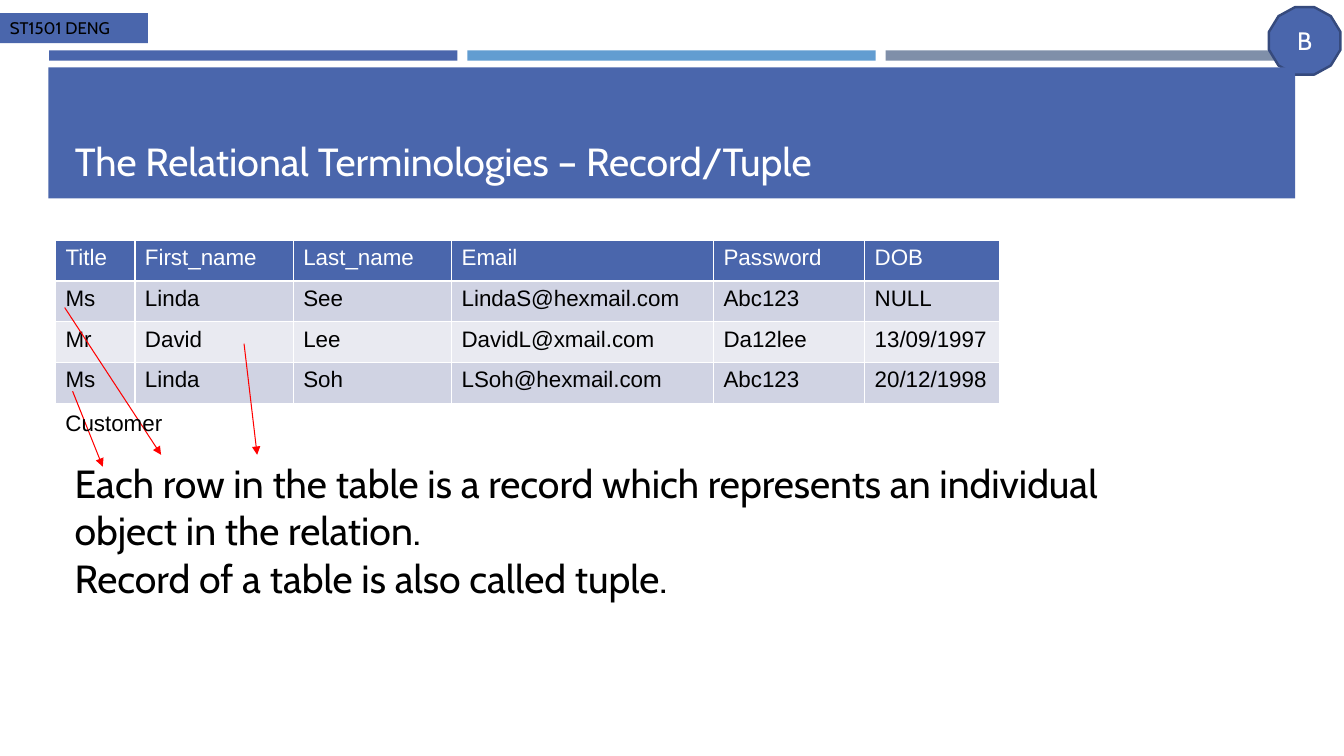
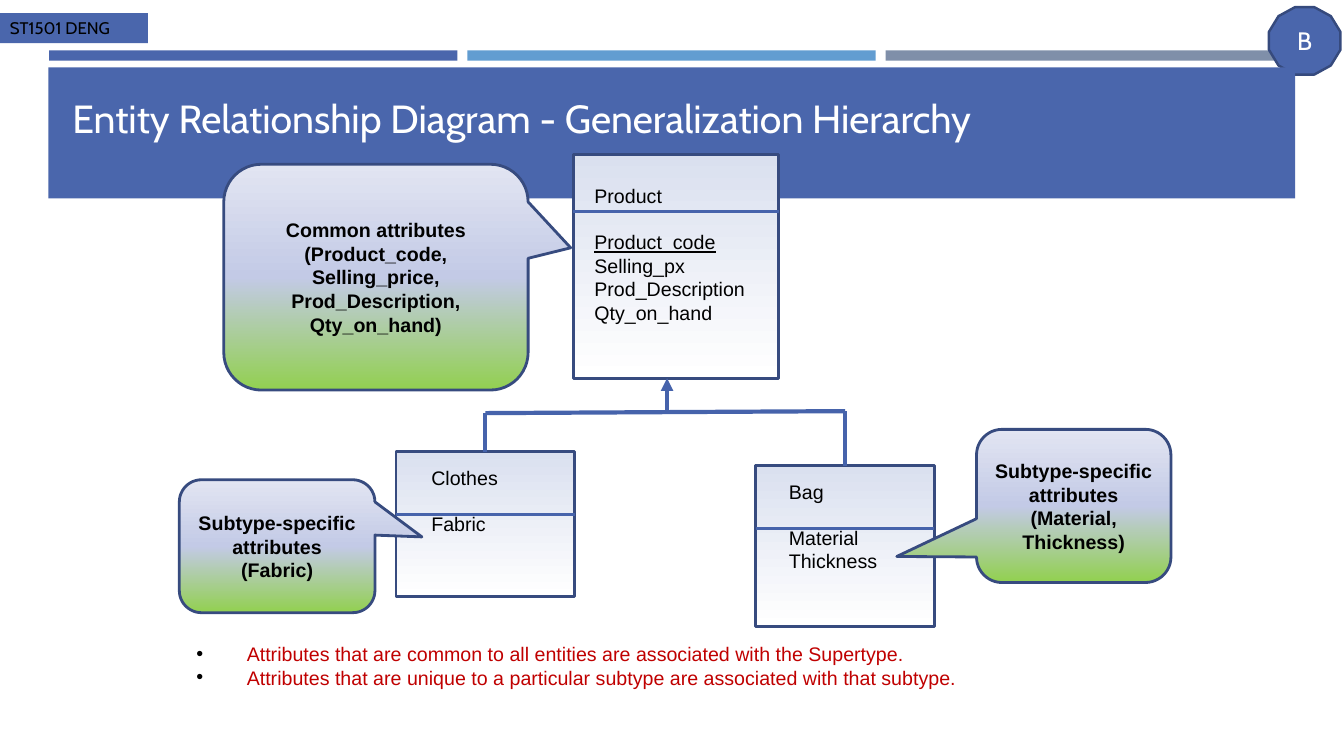
from lxml import etree
from pptx import Presentation
from pptx import util as u
from pptx.dml.color import RGBColor
from pptx.enum import shapes, text
from pptx.oxml.ns import qn

BLUE, SKY, SLATE = "4A66AC", "629DD1", "7F8FA9"
BLACK, WHITE, RED, DARK_RED = "000000", "FFFFFF", "FF0000", "C00000"
EDGE, LINK = "374B7F", "4663AB"
ROW_FILLS = ("D0D3E3", "E9EAF1")
CALLOUT_STOPS = ((0, "92D050"), (50, "C3CAE6"), (100, "E2E5F2"))
ENTITY_STOPS = ((0, "DAE0EF"), (100, WHITE))
HEADING, BODY = "Cabin", "Arial"
KIND = shapes.MSO_SHAPE
LEFT, CENTER = text.PP_ALIGN.LEFT, text.PP_ALIGN.CENTER


def color(value):
    return RGBColor.from_string(value)


def lengths(*values):
    return [u.Cm(value) for value in values]


# Text helpers
def write(frame, lines, size, name=BODY, ink=BLACK, bold=False, align=LEFT):
    frame.text = "\n".join(lines)
    for para in frame.paragraphs:
        para.alignment = align
        for span in para.runs:
            font = span.font
            font.size, font.name, font.bold = u.Pt(size), name, bold
            font.color.rgb = color(ink)


def add_text(page, box, lines, size, **style):
    frame = page.shapes.add_textbox(*lengths(*box)).text_frame
    frame.word_wrap = True
    write(frame, lines, size, **style)
    return frame


def add_bullet(para, indent):
    properties = para._p.get_or_add_pPr()
    properties.set("marL", str(indent))
    properties.set("indent", str(-indent))
    tint = etree.SubElement(properties, qn("a:buClr"))
    etree.SubElement(tint, qn("a:srgbClr"), val=BLACK)
    etree.SubElement(properties, qn("a:buFont"), typeface=BODY)
    etree.SubElement(properties, qn("a:buChar"), char="•")


# Shape helpers
def add_block(page, kind, box, fill=None, line=None, weight=2.0):
    shape = page.shapes.add_shape(kind, *lengths(*box))
    shape.shadow.inherit = False
    if fill:
        shape.fill.solid()
        shape.fill.fore_color.rgb = color(fill)
    if line:
        shape.line.color.rgb = color(line)
        shape.line.width = u.Pt(weight)
    else:
        shape.line.fill.background()
    return shape


def shade(shape, stops, angle):
    shape.fill.gradient()
    shape.fill.gradient_angle = angle
    stop_list = shape.element.spPr.find(".//" + qn("a:gsLst"))
    for stop in list(stop_list):
        stop_list.remove(stop)
    for percent, value in stops:
        stop = etree.SubElement(stop_list, qn("a:gs"), pos=str(percent * 1000))
        etree.SubElement(stop, qn("a:srgbClr"), val=value)


def add_line(page, start, end, ink, weight, arrow=False):
    line = page.shapes.add_connector(shapes.MSO_CONNECTOR.STRAIGHT,
                                     *lengths(*start, *end))
    line.line.color.rgb = color(ink)
    line.line.width = u.Pt(weight)
    if arrow:
        etree.SubElement(line.line._get_or_add_ln(), qn("a:tailEnd"),
                         type="triangle")
    etree.SubElement(line.element.spPr, qn("a:effectLst"))
    return line


# Shared frame, held by the title-only layout
def build_frame(page, layout):
    parts = [add_block(page, KIND.RECTANGLE,
                       (1.24 + 10.54 * index, 1.27, 10.29, 0.26), fill)
             for index, fill in enumerate((BLUE, SKY, SLATE))]

    badge = add_block(page, KIND.DODECAGON, (31.98, 0.18, 1.8, 1.7),
                      BLUE, "364A7D", 1.75)
    badge.text_frame.vertical_anchor = text.MSO_ANCHOR.MIDDLE
    write(badge.text_frame, ["B"], 18, HEADING, WHITE, align=CENTER)

    tag = add_block(page, KIND.RECTANGLE, (0, 0.33, 3.73, 0.76), BLUE)
    tag.text_frame.vertical_anchor = text.MSO_ANCHOR.TOP
    write(tag.text_frame, ["ST1501 DENG"], 12, HEADING)

    band = add_block(page, KIND.RECTANGLE, (1.22, 1.7, 31.42, 3.3), BLUE)
    for number, part in enumerate([*parts, badge, tag, band], start=20):
        part.element.nvSpPr.cNvPr.set("id", str(number))
        layout.shapes.element.append(part.element)


def set_title(page, words, left, top):
    title = page.shapes.title
    title.left, title.top, title.width, title.height = lengths(
        left, top, 30.63, 2.82)
    title.text_frame.vertical_anchor = text.MSO_ANCHOR.BOTTOM
    write(title.text_frame, [words], 28, HEADING, WHITE)


# Record slide
def add_records(page, left, top, widths, row_height, rows):
    frame = page.shapes.add_table(
        len(rows), len(widths),
        *lengths(left, top, sum(widths), row_height * len(rows)))
    table = frame.table
    for column, width in zip(table.columns, widths):
        column.width = u.Cm(width)
    for row_index, row in enumerate(rows):
        table.rows[row_index].height = u.Cm(row_height)
        header = row_index == 0
        for column_index, words in enumerate(row):
            cell = table.cell(row_index, column_index)
            cell.fill.solid()
            cell.fill.fore_color.rgb = color(
                BLUE if header else ROW_FILLS[(row_index - 1) % 2])
            write(cell.text_frame, [words], 16, ink=WHITE if header else BLACK)


def build_record_slide(page):
    set_title(page, "The Relational Terminologies – Record/Tuple", 1.63, 1.96)
    add_records(page, 1.4, 6.05, (2, 3.99, 3.99, 6.6, 3.81, 3.4), 1.03, (
        ("Title", "First_name", "Last_name", "Email", "Password", "DOB"),
        ("Ms", "Linda", "See", "LindaS@hexmail.com", "Abc123", "NULL"),
        ("Mr", "David", "Lee", "DavidL@xmail.com", "Da12lee", "13/09/1997"),
        ("Ms", "Linda", "Soh", "LSoh@hexmail.com", "Abc123", "20/12/1998"),
    ))
    add_text(page, (1.63, 11.46, 26.57, 3.84), (
        "Each row in the table is a record which represents an individual "
        "object in the relation.",
        "Record of a table is also called tuple."), 28, name=HEADING)
    for start, end in (((1.63, 7.75), (4.06, 11.46)),
                       ((6.15, 8.66), (6.48, 11.46)),
                       ((1.83, 9.86), (2.59, 11.76))):
        add_line(page, start, end, RED, 0.75, arrow=True)
    add_text(page, (1.4, 10.19, 7.6, 0.94), ["Customer"], 16)


# Hierarchy slide
def add_entity(page, box, divider, inset, name, attributes, key=None):
    left, top, width, height = box
    block = add_block(page, KIND.RECTANGLE, box, line=EDGE)
    shade(block, ENTITY_STOPS, 270)
    add_line(page, (left, top + divider), (left + width, top + divider),
             LINK, 2.25)
    across, down = inset
    frame = add_text(
        page, (left + across, top + down, width - across, height - down),
        [name, *attributes], 14)
    frame.paragraphs[1].space_before = u.Pt(16)
    for para in frame.paragraphs:
        if para.text == key:
            para.runs[0].font.underline = True
    return block


def add_callout(page, box, tip, lines):
    callout = add_block(page, KIND.ROUNDED_RECTANGULAR_CALLOUT, box, line=EDGE)
    callout.adjustments[0], callout.adjustments[1] = tip
    shade(callout, CALLOUT_STOPS, 90)
    callout.text_frame.word_wrap = True
    callout.text_frame.vertical_anchor = text.MSO_ANCHOR.MIDDLE
    write(callout.text_frame, lines, 14, bold=True, align=CENTER)


def build_hierarchy_slide(page):
    set_title(page, "Entity Relationship Diagram - Generalization Hierarchy",
              1.57, 0.86)

    # Supertype and subtypes
    add_entity(page, (14.45, 3.89, 5.18, 5.64), 1.43, (0.28, 0.63), "Product",
               ("Product_code", "Selling_px", "Prod_Description",
                "Qty_on_hand"), key="Product_code")
    clothes = add_entity(page, (9.98, 11.38, 4.5, 3.66), 1.58, (0.64, 0.23),
                         "Clothes", ["Fabric"])
    bag = add_entity(page, (19.05, 11.73, 4.5, 4.06), 1.58, (0.58, 0.23),
                     "Bag", ("Material", "Thickness"))

    # Branches up to the supertype
    clothes_joint, bag_joint = (12.23, 10.41), (21.3, 10.36)
    add_line(page, clothes_joint, bag_joint, LINK, 3)
    for joint, entity in ((clothes_joint, clothes), (bag_joint, bag)):
        add_line(page, joint, joint, LINK, 3).end_connect(entity, 0)
    add_line(page, (16.81, 10.39), (16.81, 9.53), LINK, 3, arrow=True)

    # Callouts
    specific = "Subtype-specific attributes"
    add_callout(page, (5.64, 4.14, 7.67, 5.69), (0.64, -0.13), (
        "Common attributes",
        "(Product_code, Selling_price, Prod_Description, Qty_on_hand)"))
    add_callout(page, (24.61, 10.82, 4.9, 3.86), (-0.91, 0.33),
                (specific, "(Material, Thickness)"))
    add_callout(page, (4.52, 12.09, 4.93, 3.35), (0.74, -0.07),
                (specific, "(Fabric)"))

    # Closing notes
    notes = add_text(page, (4.7, 16.05, 24.41, 1.45), (
        "Attributes that are common to all entities are associated with the "
        "Supertype.",
        "Attributes that are unique to a particular subtype are associated "
        "with that subtype."), 14, ink=DARK_RED)
    for para in notes.paragraphs:
        add_bullet(para, u.Cm(1.27))


def main():
    deck = Presentation()
    deck.slide_width, deck.slide_height = lengths(33.87, 19.05)
    layout = deck.slide_layouts[5]
    pages = [deck.slides.add_slide(layout) for _ in range(2)]
    build_frame(pages[0], layout)
    build_record_slide(pages[0])
    build_hierarchy_slide(pages[1])
    deck.save("out.pptx")


if __name__ == "__main__":
    main()
